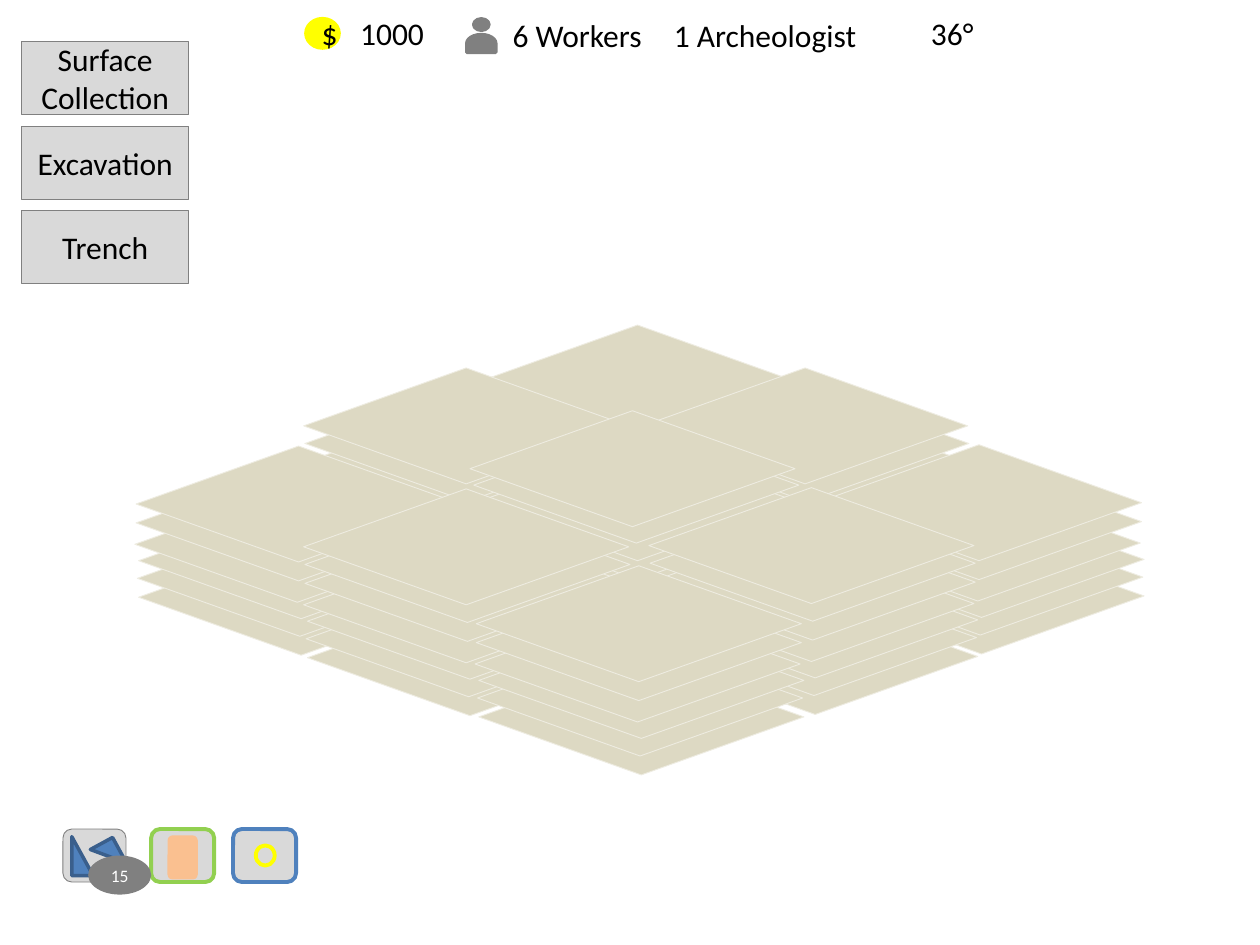
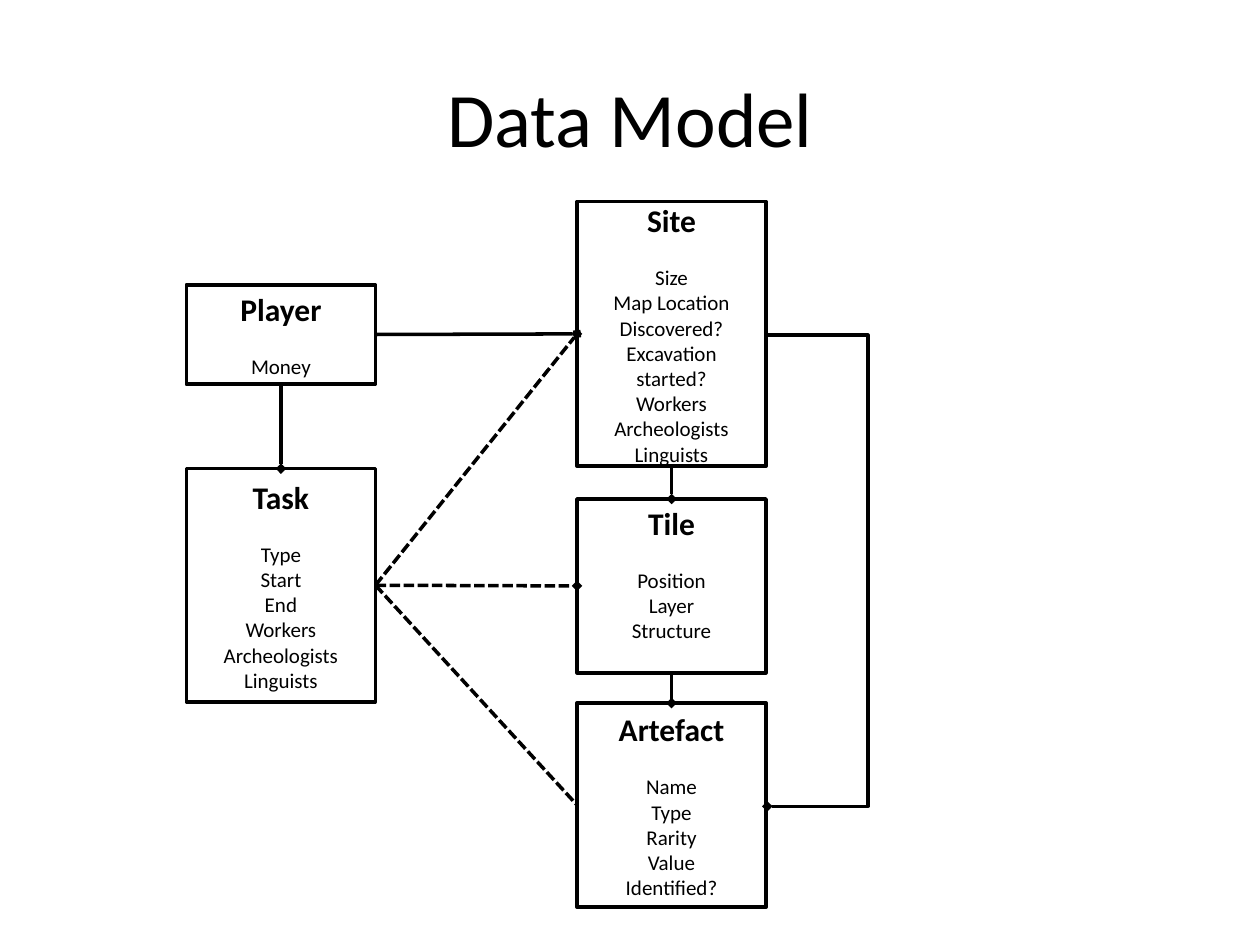
from lxml import etree
from pptx import Presentation
from pptx import util as u
from pptx.dml.color import RGBColor
from pptx.enum import dml, shapes, text
from pptx.oxml.ns import qn

PX = 9144
FONT = "Calibri"
BLACK = RGBColor(0x00, 0x00, 0x00)
WHITE = RGBColor(0xFF, 0xFF, 0xFF)
SAND = RGBColor(0xDD, 0xD9, 0xC3)
CREAM = RGBColor(0xEE, 0xEC, 0xE1)
LIGHT = RGBColor(0xD9, 0xD9, 0xD9)
GREY = RGBColor(0x80, 0x80, 0x80)
BLUE = RGBColor(0x4F, 0x81, 0xBD)
NAVY = RGBColor(0x3A, 0x5F, 0x8C)
GREEN = RGBColor(0x92, 0xD0, 0x50)
PEACH = RGBColor(0xFA, 0xC0, 0x90)
YELLOW = RGBColor(0xFF, 0xFF, 0x00)

FORM = shapes.MSO_SHAPE
TOP, LEFT, BOTTOM, RIGHT = range(4)

SPOTS = [(3, 96), (137, 144), (137, 48), (272, 95), (273, 191),
         (411, 143), (272, 0), (406, 48), (543, 95)]
ALL = range(9)
LAYERS = [(107, 332, ALL), (106, 317, ALL), (107, 303, ALL),
          (104, 290, ALL), (105, 273, ALL), (105, 258, ALL),
          (104, 244, (1, 2, 3, 5, 7)), (101, 231, (3,))]


def px(*nums):
    return [round(n * PX) for n in nums]


def style(par, size, color=BLACK, bold=False):
    for run in par.runs:
        run.font.name = FONT
        run.font.size = u.Pt(size)
        run.font.bold = bold
        run.font.color.rgb = color


def draw(slide, form, box, fill=None, line=None, width=0.5, turn=0):
    shape = slide.shapes.add_shape(form, *px(*box))
    shape.shadow.inherit = False
    shape.rotation = turn
    if fill is None:
        shape.fill.background()
    else:
        shape.fill.solid()
        shape.fill.fore_color.rgb = fill
    if line is None:
        shape.line.fill.background()
    else:
        shape.line.color.rgb = line
        shape.line.width = u.Pt(width)
    return shape


def label(shape, words, size=18, color=BLACK):
    frame = shape.text_frame
    frame.text = words
    frame.vertical_anchor = text.MSO_ANCHOR.MIDDLE
    for par in frame.paragraphs:
        par.alignment = text.PP_ALIGN.CENTER
        style(par, size, color)


def note(slide, box, words):
    frame = slide.shapes.add_textbox(*px(*box)).text_frame
    frame.word_wrap = False
    frame.auto_size = text.MSO_AUTO_SIZE.SHAPE_TO_FIT_TEXT
    frame.text = words
    style(frame.paragraphs[0], 18)


def field(slide):
    for x, y, picks in LAYERS:
        for pick in picks:
            dx, dy = SPOTS[pick]
            draw(slide, FORM.DIAMOND, (x + dx, y + dy, 258, 92), SAND, CREAM)


def menu(slide, x, y):
    for row, words in enumerate(["Surface Collection", "Excavation", "Trench"]):
        button = draw(slide, FORM.RECTANGLE, (x, y + row * 67, 133, 58), LIGHT, GREY)
        label(button, words)


def status(slide, x, y):
    draw(slide, FORM.OVAL, (x + 133, y + 9, 12, 9), GREY, GREY, 2)
    draw(slide, FORM.FLOWCHART_DELAY, (x + 132, y + 17, 14, 23), GREY, GREY, 2, 270)
    coin = draw(slide, FORM.OVAL, (x, y + 9, 26, 23), YELLOW, YELLOW, 2.25)
    label(coin, "$")
    for dx, dy, wide, words in [(33, 0, 71, "1000"), (154, 2, 124, "6 Workers"),
                                (282, 2, 166, "1 Archeologist"), (486, 0, 54, "36°")]:
        note(slide, (x + dx, y + dy, wide, 40), words)


def tools(slide, x, y):
    for dx, edge, width in [(0, GREY, 0.5), (70, GREEN, 2.25), (135, BLUE, 2.25)]:
        draw(slide, FORM.ROUNDED_RECTANGLE, (x + dx, y, 50, 42), LIGHT, edge, width)
    draw(slide, FORM.RIGHT_TRIANGLE, (x + 7, y + 6, 17, 31), BLUE, NAVY, 2)
    draw(slide, FORM.RIGHT_TRIANGLE, (x + 26, y + 10, 20, 23), BLUE, NAVY, 2, 151.5)
    count = draw(slide, FORM.OVAL, (x + 20, y + 21, 50, 31), GREY)
    label(count, "15", 10, WHITE)
    draw(slide, FORM.ROUNDED_RECTANGLE, (x + 83, y + 5, 24, 35), PEACH)
    draw(slide, FORM.OVAL, (x + 153, y + 13, 15, 16), None, YELLOW, 2.25)


def entity(slide, box, name, items, base=5):
    shape = draw(slide, FORM.RECTANGLE, box, None, BLACK, 2)
    label(shape, "\n".join([name] + items), 12)
    shape.text_frame.margin_bottom = base * PX
    head = shape.text_frame.paragraphs[0]
    head.space_after = u.Pt(14.65)
    style(head, 18, bold=True)
    return shape


def wire(slide, kind, ends=(0, 0, 0, 0), dash=False, tip=True):
    line = slide.shapes.add_connector(kind, *px(*ends))
    line.line.color.rgb = BLACK
    line.line.width = u.Pt(2)
    if dash:
        line.line.dash_style = dml.MSO_LINE.SQUARE_DOT
    props = line.element.spPr
    if tip:
        etree.SubElement(props.find(qn("a:ln")), qn("a:tailEnd"), type="diamond")
    etree.SubElement(props, qn("a:effectLst"))
    return line


def link(slide, start, out, stop, into, dash=False, tip=True):
    line = wire(slide, shapes.MSO_CONNECTOR.STRAIGHT, dash=dash, tip=tip)
    line.begin_connect(start, out)
    line.end_connect(stop, into)


def detour(slide, x, y, wide, high):
    line = wire(slide, shapes.MSO_CONNECTOR.ELBOW, (x, y, x + 1, y + high))
    geom = line.element.spPr.find(qn("a:prstGeom"))
    guides = geom.find(qn("a:avLst"))
    if guides is None:
        guides = etree.SubElement(geom, qn("a:avLst"))
    etree.SubElement(guides, qn("a:gd"), name="adj1", fmla=f"val {wide * 100000}")


def game(deck):
    slide = deck.slides.add_slide(deck.slide_layouts[6])
    field(slide)
    menu(slide, 17, 33)
    status(slide, 243, 6)
    tools(slide, 50, 658)


def model(deck):
    slide = deck.slides.add_slide(deck.slide_layouts[5])
    title = slide.shapes.title
    title.left, title.top, title.width, title.height = px(50, 30, 900, 125)
    label(title, "Data Model", 44)

    crew = ["Workers", "Archeologists", "Linguists"]
    site = entity(slide, (458, 160, 150, 210), "Site",
                  ["Size", "Map Location", "Discovered?", "Excavation started?"] + crew)
    player = entity(slide, (148, 226, 150, 79), "Player", ["Money"])
    find = entity(slide, (458, 558, 150, 162), "Artefact",
                  ["Name", "Type", "Rarity", "Value", "Identified?"])
    tile = entity(slide, (458, 396, 150, 138), "Tile",
                  ["Position", "Layer", "Structure"], 25)
    task = entity(slide, (148, 372, 150, 185), "Task", ["Type", "Start", "End"] + crew)

    link(slide, site, BOTTOM, tile, TOP)
    link(slide, player, RIGHT, site, LEFT)
    link(slide, tile, BOTTOM, find, TOP)
    link(slide, player, BOTTOM, task, TOP)
    for goal in (tile, find, site):
        link(slide, task, RIGHT, goal, LEFT, dash=True, tip=goal is not find)
    detour(slide, 608, 266, 82, 374)


def main():
    deck = Presentation()
    deck.slide_width, deck.slide_height = px(1000, 750)
    game(deck)
    model(deck)
    deck.save("out.pptx")


if __name__ == "__main__":
    main()
